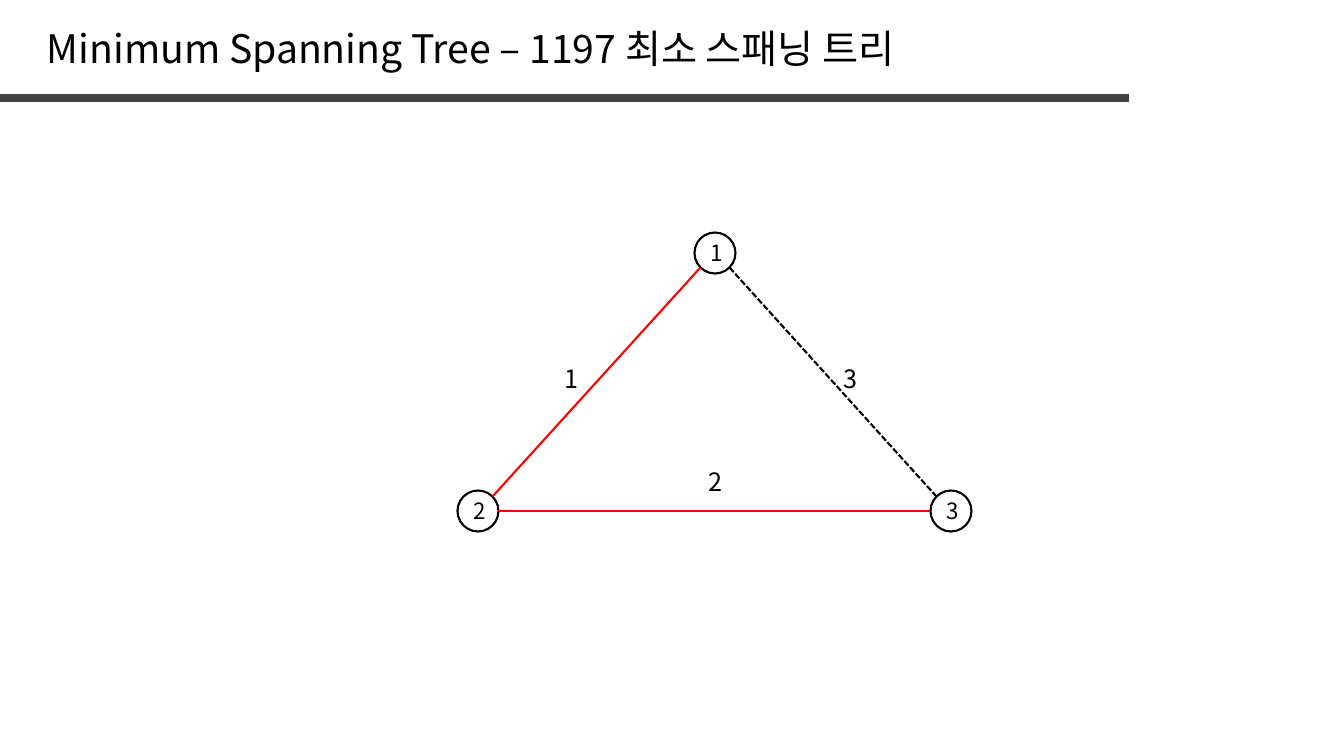
from math import sqrt

from pptx import Presentation
from pptx.dml.color import RGBColor as RGB
from pptx.enum.dml import MSO_LINE as DASH
from pptx.enum.shapes import MSO_CONNECTOR as CONN, MSO_SHAPE as SHAPE
from pptx.enum.text import MSO_ANCHOR as ANCHOR, PP_ALIGN as ALIGN
from pptx.oxml.ns import qn
from pptx.util import Pt
from lxml import etree

PX = 914400 / 100.8
FONT = "Noto Sans CJK KR"
COLORS = {"ink": "000000", "rule": "404040", "tree": "FF0000", "paper": "FFFFFF"}
NODE_SIZE = 41
LABEL_W, LABEL_H = 35, 40

# Node number: centre
NODES = {1: (715, 253), 2: (478, 511), 3: (951, 511)}
# Two nodes, weight, label corner, whether the edge is in the tree
EDGES = [
    (1, 2, 1, (554, 358), True),
    (2, 3, 2, (698, 461), True),
    (1, 3, 3, (833, 358), False),
]


def px(n):
    return round(n * PX)


def color(name):
    return RGB.from_string(COLORS[name])


def write(sp, text, size, align, anchor=ANCHOR.TOP, wrap=True):
    tf = sp.text_frame
    tf.word_wrap = wrap
    tf.vertical_anchor = anchor
    p = tf.paragraphs[0]
    p.text = text
    p.alignment = align
    p.font.size = Pt(size)
    p.font.name = FONT
    p.font.color.rgb = color("ink")
    # East Asian text uses the same typeface
    for r in p.runs:
        ea = etree.SubElement(r._r.get_or_add_rPr(), qn("a:ea"))
        ea.set("typeface", FONT)


def add_text(s, x, y, w, h, text, size, align, wrap=True):
    sp = s.shapes.add_textbox(px(x), px(y), px(w), px(h))
    write(sp, text, size, align, wrap=wrap)
    return sp


def add_line(s, start, end, name, width, dash=None):
    line = s.shapes.add_connector(CONN.STRAIGHT, *map(px, start + end))
    line.line.color.rgb = color(name)
    line.line.width = Pt(width)
    if dash:
        line.line.dash_style = dash
    etree.SubElement(line._element.spPr, qn("a:effectLst"))


def add_node(s, number, center):
    x, y = (c - NODE_SIZE / 2 for c in center)
    sp = s.shapes.add_shape(SHAPE.OVAL, px(x), px(y), px(NODE_SIZE), px(NODE_SIZE))
    sp.shadow.inherit = False
    sp.fill.background()
    sp.line.color.rgb = color("ink")
    sp.line.width = Pt(1.5)
    write(sp, str(number), 16, ALIGN.CENTER, ANCHOR.MIDDLE)


def rim_point(center, toward):
    """Point of the circle in the nearest of eight directions."""
    dx, dy = ((b > a) - (b < a) for a, b in zip(center, toward))
    reach = NODE_SIZE / 2 / sqrt(dx * dx + dy * dy)
    return center[0] + dx * reach, center[1] + dy * reach


def add_edge(s, a, b, in_tree):
    start, end = rim_point(NODES[a], NODES[b]), rim_point(NODES[b], NODES[a])
    if in_tree:
        add_line(s, start, end, "tree", 1.5)
    else:
        add_line(s, start, end, "ink", 1.5, DASH.SQUARE_DOT)


def main():
    prs = Presentation()
    prs.slide_width, prs.slide_height = px(1344), px(756)
    s = prs.slides.add_slide(prs.slide_layouts[6])

    # Heading
    add_line(s, (0, 98), (1129, 98), "rule", 6)
    add_text(s, 37, 19, 884, 57, "Minimum Spanning Tree – 1197 최소 스패닝 트리",
             28, ALIGN.LEFT, wrap=False)

    # Graph: nodes, weights, then edges over the label backgrounds
    for number, center in NODES.items():
        add_node(s, number, center)
    for _, _, weight, (x, y), in_tree in EDGES:
        sp = add_text(s, x, y, LABEL_W, LABEL_H, str(weight), 18, ALIGN.CENTER)
        if in_tree:
            sp.fill.solid()
            sp.fill.fore_color.rgb = color("paper")
    for a, b, _, _, in_tree in EDGES:
        add_edge(s, a, b, in_tree)

    prs.save("out.pptx")


if __name__ == "__main__":
    main()
